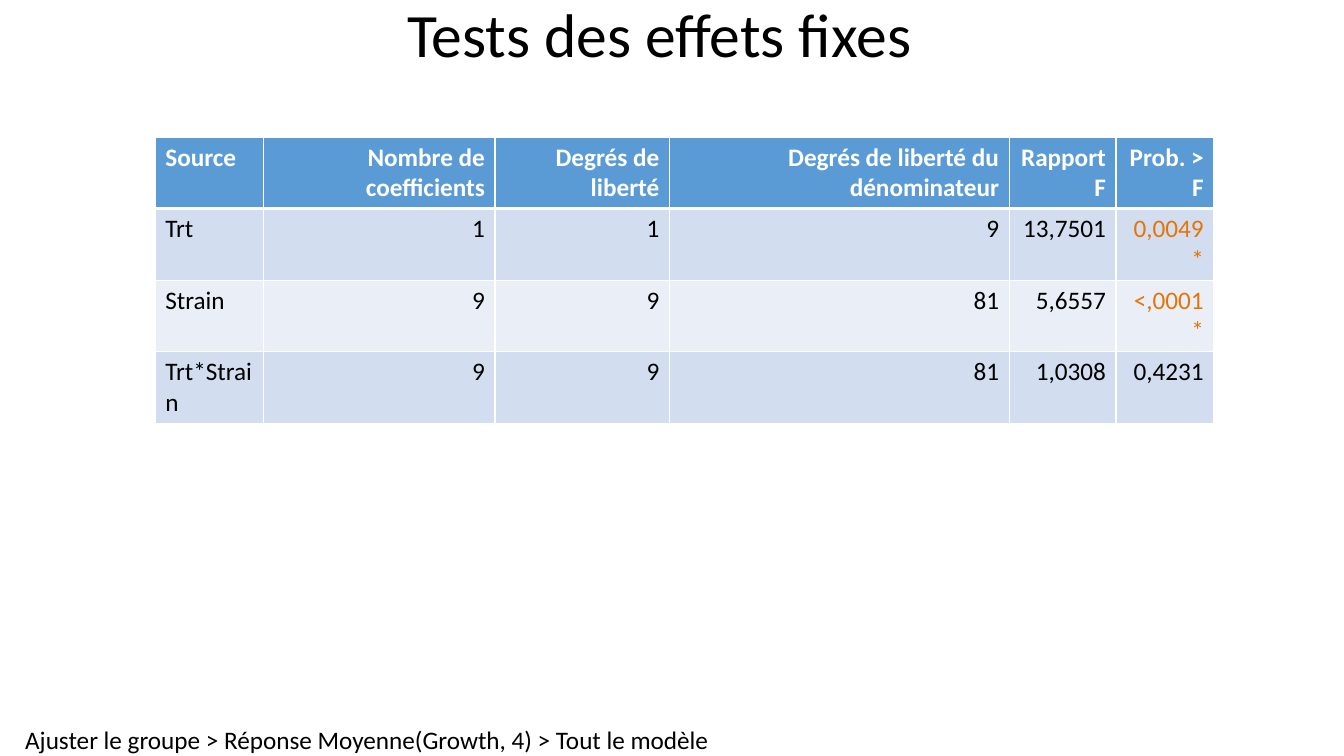
from dataclasses import dataclass

from lxml.etree import SubElement
from pptx import Presentation
from pptx.dml.color import RGBColor
from pptx.enum.text import MSO_ANCHOR, PP_ALIGN
from pptx.oxml.ns import qn
from pptx.slide import Slide
from pptx.table import _Cell
from pptx.text.text import TextFrame
from pptx.util import Inches, Pt


@dataclass(frozen=True)
class Theme:
    font: str = "Calibri"
    title_size: int = 44
    body_size: int = 18
    text: str = "000000"
    white: str = "FFFFFF"
    significant: str = "E57406"
    header: str = "5B9BD5"
    bands: tuple[str, str] = ("D2DEEF", "EAEFF7")
    line_width: int = 1
    header_line_width: int = 3


@dataclass(frozen=True)
class Column:
    heading: str
    width: float
    align: PP_ALIGN = PP_ALIGN.RIGHT


@dataclass(frozen=True)
class Label:
    text: str
    left: float
    top: float
    width: float
    height: float
    size: int
    align: PP_ALIGN
    wrap: bool
    margin: float
    line_spacing: float


THEME = Theme()

LABELS = [
    Label("Ajuster le groupe > Réponse Moyenne(Growth, 4) > Tout le modèle",
          0.25, 7.19, 6.83, 0.31, THEME.body_size, PP_ALIGN.LEFT, False, 0, 1.0),
    Label("Tests des effets fixes",
          0, 0, 13.08, 0.75, THEME.title_size, PP_ALIGN.CENTER, True, 0.05, 0.9),
]

COLUMNS = [
    Column("Source", 1.07, PP_ALIGN.LEFT),
    Column("Nombre de coefficients", 2.3),
    Column("Degrés de liberté", 1.73),
    Column("Degrés de liberté du dénominateur", 3.37),
    Column("Rapport F", 1.06),
    Column("Prob. > F", 0.97),
]

EFFECTS = [
    ("Trt", "1", "1", "9", "13,7501", "0,0049*"),
    ("Strain", "9", "9", "81", "5,6557", "<,0001*"),
    ("Trt*Strain", "9", "9", "81", "1,0308", "0,4231"),
]

TABLE_LEFT, TABLE_TOP, ROW_HEIGHT = 1.54, 1.36, 0.71


def write_text(frame: TextFrame, text: str, *, size: int = THEME.body_size,
               color: str = THEME.text, bold: bool = False,
               align: PP_ALIGN = PP_ALIGN.LEFT, line_spacing: float = 1.0) -> None:
    para = frame.paragraphs[0]
    para.alignment = align
    para.line_spacing = line_spacing
    span = para.add_run()
    span.text = text
    span.font.name = THEME.font
    span.font.size = Pt(size)
    span.font.bold = bold
    span.font.color.rgb = RGBColor.from_string(color)


def add_label(page: Slide, label: Label) -> None:
    box = page.shapes.add_textbox(Inches(label.left), Inches(label.top),
                                  Inches(label.width), Inches(label.height))
    frame = box.text_frame
    frame.word_wrap = label.wrap
    frame.margin_left = frame.margin_right = Inches(2 * label.margin)
    frame.margin_top = frame.margin_bottom = Inches(label.margin)
    frame.vertical_anchor = MSO_ANCHOR.MIDDLE if label.wrap else MSO_ANCHOR.TOP
    write_text(frame, label.text, size=label.size, align=label.align,
               line_spacing=label.line_spacing)


def add_borders(cell: _Cell, top: int, bottom: int) -> None:
    properties = cell._tc.get_or_add_tcPr()
    widths = {"lnL": THEME.line_width, "lnR": THEME.line_width, "lnT": top, "lnB": bottom}
    for side, width in widths.items():
        line = SubElement(properties, qn(f"a:{side}"), w=str(Pt(width)))
        fill = SubElement(line, qn("a:solidFill"))
        SubElement(fill, qn("a:srgbClr"), val=THEME.white)


def format_cell(cell: _Cell, text: str, row: int, column: Column) -> None:
    is_header = row == 0
    top = THEME.header_line_width if row == 1 else THEME.line_width
    bottom = THEME.header_line_width if is_header else THEME.line_width
    add_borders(cell, top, bottom)
    fill = THEME.header if is_header else THEME.bands[(row - 1) % 2]
    cell.fill.solid()
    cell.fill.fore_color.rgb = RGBColor.from_string(fill)
    if is_header:
        color = THEME.white
    else:
        color = THEME.significant if text.endswith("*") else THEME.text
    write_text(cell.text_frame, text, color=color, bold=is_header, align=column.align)


def add_effects_table(page: Slide) -> None:
    rows = [tuple(column.heading for column in COLUMNS), *EFFECTS]
    width = sum(column.width for column in COLUMNS)
    table = page.shapes.add_table(
        len(rows), len(COLUMNS), Inches(TABLE_LEFT), Inches(TABLE_TOP),
        Inches(width), Inches(ROW_HEIGHT * len(rows))).table
    for index, column in enumerate(COLUMNS):
        table.columns[index].width = Inches(column.width)
        for row, values in enumerate(rows):
            format_cell(table.cell(row, index), values[index], row, column)


def main() -> None:
    deck = Presentation()
    deck.slide_width = Inches(13.33)
    deck.slide_height = Inches(7.5)
    page = deck.slides.add_slide(deck.slide_layouts[6])
    for label in LABELS:
        add_label(page, label)
    add_effects_table(page)
    deck.save("out.pptx")


if __name__ == "__main__":
    main()
